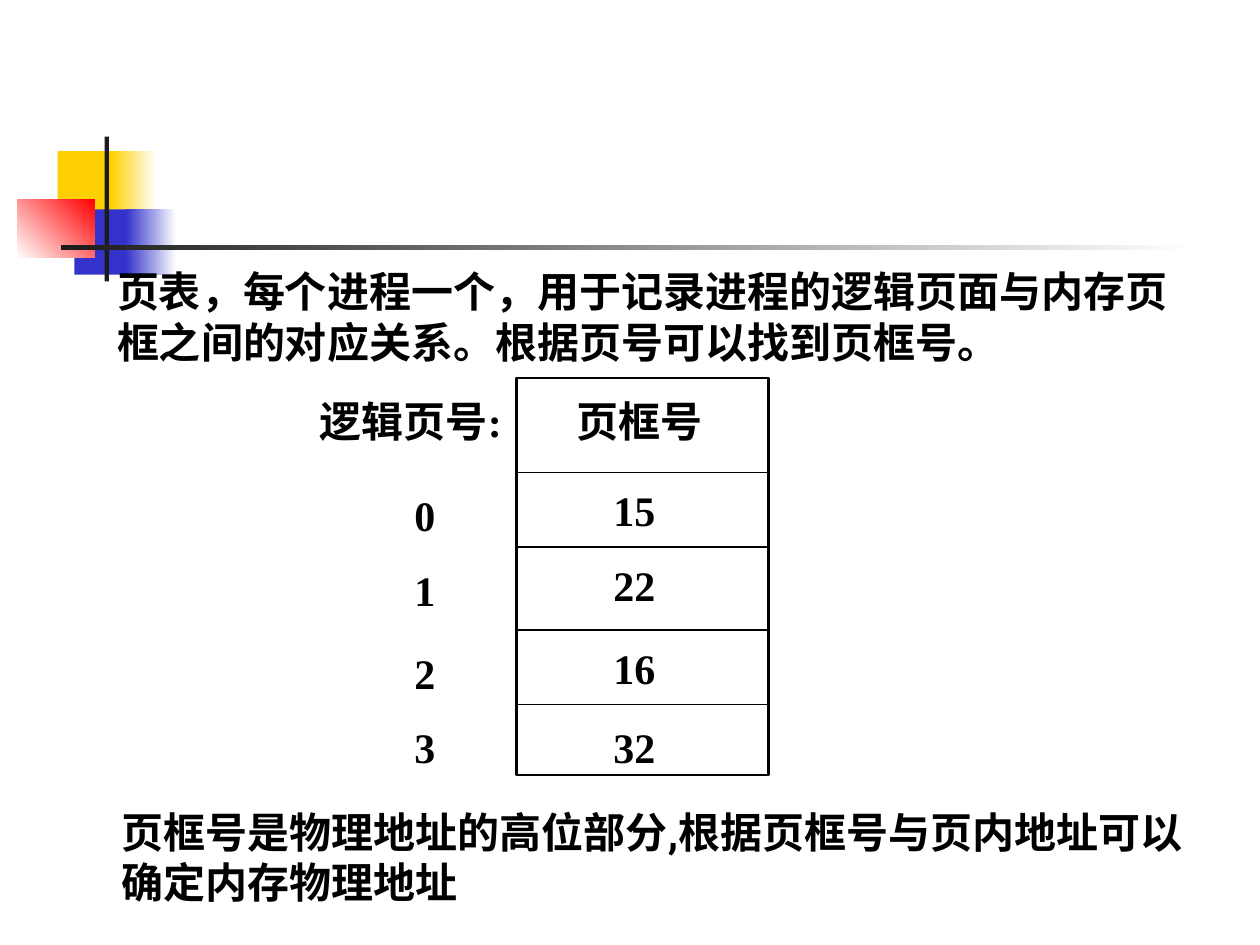
import lxml.etree
import pptx
import pptx.dml.color
import pptx.enum.shapes
import pptx.enum.text
import pptx.oxml.ns
import pptx.util

Pt = pptx.util.Pt
COLORS = {
    "black": "000000", "white": "FFFFFF", "yellow": "FFCF01",
    "blue": "3333CC", "red": "FF0000", "charcoal": "1C1C1C",
}
FRAME_LEFT, FRAME_TOP, FRAME_WIDTH, FRAME_HEIGHT = 295.2, 216, 144, 226.8
LABEL_OFFSET = 6.4  # from the top of a row to the box of its text
LABEL_LEFT, NUMBER_LEFT = 229.7, 343.4
# logical page, frame number, top of row, width of the number's box, padding, fill
PAGE_ROWS = [
    ("0", "15", 270, 58.3, 0.72, "white"),
    ("1", "22", 312.5, 66.2, 0.72, "white"),
    ("2", "16", 360, 64.1, 0.72, "white"),
    ("3", "32", 402.5, 66.2, 3.6, None),
]


def color(name):
    return pptx.dml.color.RGBColor.from_string(COLORS[name])


def add_rectangle(slide, left, top, width, height, fill, line=None):
    shape = slide.shapes.add_shape(
        pptx.enum.shapes.MSO_SHAPE.RECTANGLE,
        Pt(left), Pt(top), Pt(width), Pt(height))
    shape.shadow.inherit = False
    shape.fill.solid()
    shape.fill.fore_color.rgb = color(fill)
    if line:
        shape.line.color.rgb = color(line)
        shape.line.width = Pt(1.5)
    else:
        shape.line.fill.background()
    return shape


def add_gradient(slide, left, top, width, height, start, end, angle=0):
    """Add a rectangle fading from start to end, angle counter-clockwise."""
    shape = add_rectangle(slide, left, top, width, height, start)
    shape.fill.gradient()
    shape.fill.gradient_angle = angle
    for stop, name in zip(shape.fill.gradient_stops, (start, end)):
        stop.color.rgb = color(name)


def add_text(slide, text, left, top, width, height,
             font="Times New Roman", padding=3.6, fill=None):
    if fill:
        shape = add_rectangle(slide, left, top, width, height, fill)
    else:
        shape = slide.shapes.add_textbox(
            Pt(left), Pt(top), Pt(width), Pt(height))
    frame = shape.text_frame
    frame.word_wrap = True
    frame.auto_size = pptx.enum.text.MSO_AUTO_SIZE.SHAPE_TO_FIT_TEXT
    frame.vertical_anchor = pptx.enum.text.MSO_ANCHOR.TOP
    frame.margin_top = frame.margin_bottom = Pt(padding)
    frame.text = text
    paragraph = frame.paragraphs[0]
    paragraph.alignment = pptx.enum.text.PP_ALIGN.LEFT
    for run in paragraph.runs:
        run.font.name = font
        run.font.size = Pt(24)
        run.font.bold = True
        run.font.color.rgb = color("black")


def add_row_line(slide, top):
    line = slide.shapes.add_connector(
        pptx.enum.shapes.MSO_CONNECTOR.STRAIGHT,
        Pt(FRAME_LEFT), Pt(top), Pt(FRAME_LEFT + FRAME_WIDTH), Pt(top))
    line.line.color.rgb = color("black")
    line.line.width = Pt(0.75)
    lxml.etree.SubElement(line._element.spPr, pptx.oxml.ns.qn("a:effectLst"))


def add_decoration(slide):
    add_rectangle(slide, 33, 86.4, 34.6, 37.4, "yellow")
    add_gradient(slide, 63.4, 86.4, 25.9, 37.4, "yellow", "white")
    add_rectangle(slide, 42.5, 119.6, 33.1, 37.4, "blue")
    add_gradient(slide, 72, 119.6, 28.8, 37.4, "blue", "white")
    add_gradient(slide, 10, 113.8, 44, 33.1, "white", "red", 45)
    add_rectangle(slide, 59.8, 78, 2.5, 82.8, "charcoal")
    add_gradient(slide, 34.6, 140.2, 648, 2.5, "charcoal", "white")


def add_page_table(slide):
    add_rectangle(slide, FRAME_LEFT, FRAME_TOP, FRAME_WIDTH, FRAME_HEIGHT,
                  "white", "black")
    for row in PAGE_ROWS:
        add_row_line(slide, row[2])
    header_top = FRAME_TOP + LABEL_OFFSET
    add_text(slide, "页框号", 322.6, header_top, 87.8, 36, fill="white")
    add_text(slide, "逻辑页号:", 175.7, header_top, 113.8, 64.8)
    for page, number, row_top, width, padding, fill in PAGE_ROWS:
        top = row_top + LABEL_OFFSET
        height = 28.8 + 2 * padding
        add_text(slide, number, NUMBER_LEFT, top, width, height,
                 padding=padding, fill=fill)
        add_text(slide, page, LABEL_LEFT, top, 54, 36)


def main():
    presentation = pptx.Presentation()
    presentation.slide_width = Pt(720)
    presentation.slide_height = Pt(540)
    slide = presentation.slides.add_slide(presentation.slide_layouts[6])
    add_decoration(slide)
    add_text(slide,
             "页表，每个进程一个，用于记录进程的逻辑页面与内存页框之间的对应关系。"
             "根据页号可以找到页框号。",
             59.8, 148.3, 628.6, 64.8)
    add_page_table(slide)
    add_text(slide,
             "页框号是物理地址的高位部分,根据页框号与页内地址可以确定内存物理地址",
             62.6, 457.2, 635, 64.8, font="Roboto")
    presentation.save("out.pptx")


if __name__ == "__main__":
    main()
